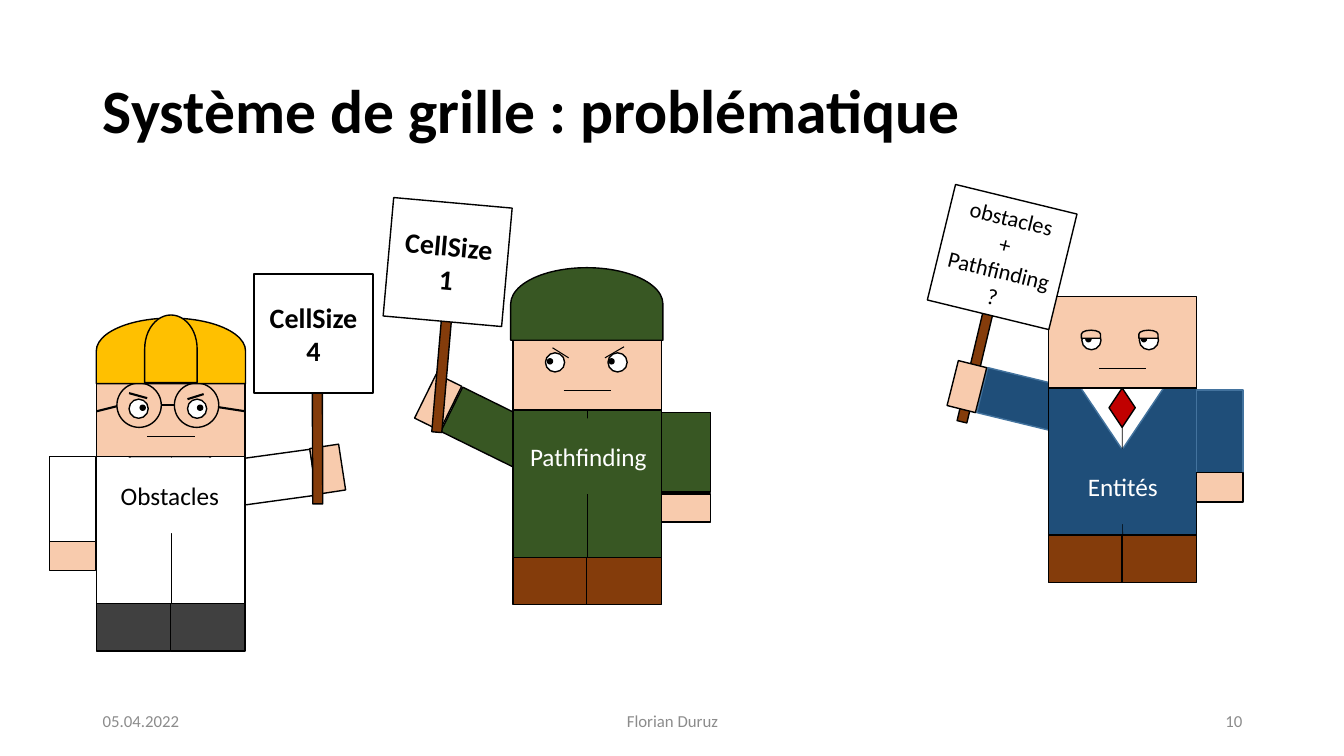
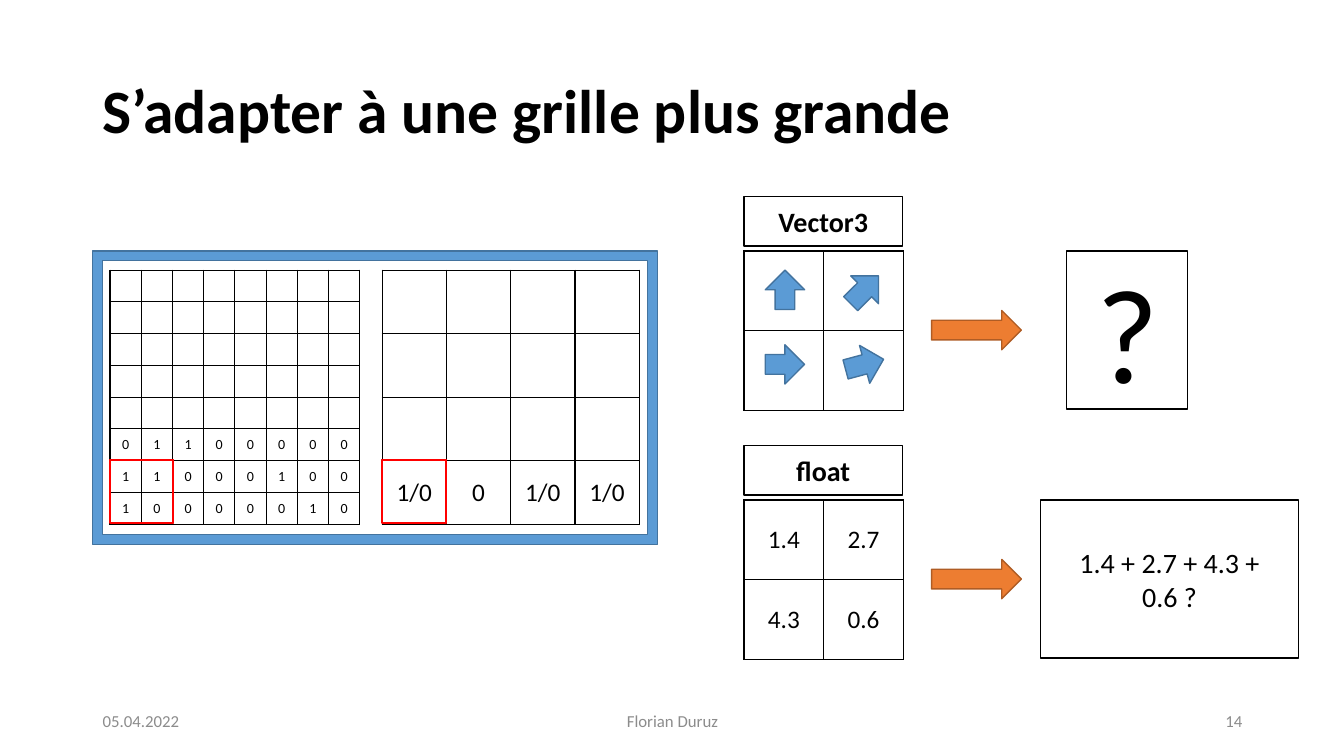
"""Build two slides on the grid problem: three quarrelling figures, then the larger grid."""
from lxml import etree
from pptx import Presentation
from pptx.dml.color import RGBColor
from pptx.enum.shapes import MSO_CONNECTOR, MSO_SHAPE
from pptx.enum.text import MSO_ANCHOR, MSO_AUTO_SIZE, PP_ALIGN
from pptx.oxml.ns import qn
from pptx.util import Inches, Pt

BLACK = RGBColor(0x00, 0x00, 0x00)
WHITE = RGBColor(0xFF, 0xFF, 0xFF)
GREY = RGBColor(0x8C, 0x8C, 0x8C)
CHARCOAL = RGBColor(0x40, 0x40, 0x40)
SKIN = RGBColor(0xF8, 0xCB, 0xAD)
GREEN = RGBColor(0x38, 0x57, 0x23)
BROWN = RGBColor(0x84, 0x3C, 0x0B)
GOLD = RGBColor(0xFF, 0xC0, 0x00)
NAVY = RGBColor(0x1F, 0x4E, 0x79)
CRIMSON = RGBColor(0xC0, 0x00, 0x00)
RED = RGBColor(0xFF, 0x00, 0x00)
BLUE = RGBColor(0x5B, 0x9B, 0xD5)
STEEL = RGBColor(0x43, 0x73, 0x9E)
ORANGE = RGBColor(0xED, 0x7D, 0x31)
RUST = RGBColor(0xAF, 0x5C, 0x24)

RECT, OVAL, DOME = MSO_SHAPE.RECTANGLE, MSO_SHAPE.OVAL, MSO_SHAPE.FLOWCHART_DELAY
TRIANGLE, DIAMOND = MSO_SHAPE.ISOSCELES_TRIANGLE, MSO_SHAPE.DIAMOND
FRAME, ARROW = MSO_SHAPE.FRAME, MSO_SHAPE.UP_ARROW

deck = Presentation()
deck.slide_width, deck.slide_height = Inches(13.33), Inches(7.5)
UNIT = deck.slide_height / 7.5


def write(frame, text, size, color=BLACK, bold=False, align=PP_ALIGN.CENTER):
    frame.word_wrap = True
    frame.vertical_anchor = MSO_ANCHOR.MIDDLE
    for index, line in enumerate(text.split("\n")):
        paragraph = frame.add_paragraph() if index else frame.paragraphs[0]
        paragraph.alignment = align
        run = paragraph.add_run()
        run.text = line
        for name, value in {"name": "Calibri", "size": Pt(size), "bold": bold}.items():
            setattr(run.font, name, value)
        run.font.color.rgb = color


def draw(slide, preset, box, fill=None, edge=BLACK, turn=0):
    shape = slide.shapes.add_shape(preset, *[round(value * UNIT) for value in box])
    shape.shadow.inherit = False
    shape.rotation = turn
    if fill is None:
        shape.fill.background()
    else:
        shape.fill.solid()
        shape.fill.fore_color.rgb = fill
    if edge is None:
        shape.line.fill.background()
    else:
        shape.line.color.rgb = edge
        shape.line.width = Pt(1)
    return shape


slides = []
for heading, number in [("Système de grille : problématique", "10"),
                        ("S’adapter à une grille plus grande", "14")]:
    slide = deck.slides.add_slide(deck.slide_layouts[5])
    title = slide.shapes.title
    bounds = {"left": 0.92, "top": 0.4, "width": 11.5, "height": 1.45}
    for side, value in bounds.items():
        setattr(title, side, round(value * UNIT))
    write(title.text_frame, heading, 44, bold=True, align=PP_ALIGN.LEFT)
    title.text_frame.auto_size = MSO_AUTO_SIZE.NONE
    title.text_frame.paragraphs[0].line_spacing = 0.9
    for left, width, text, align in [(0.92, 3, "05.04.2022", PP_ALIGN.LEFT),
                                     (4.42, 4.5, "Florian Duruz", PP_ALIGN.CENTER),
                                     (9.42, 3, number, PP_ALIGN.RIGHT)]:
        footer = slide.shapes.add_textbox(
            *[round(value * UNIT) for value in (left, 6.95, width, 0.4)])
        write(footer.text_frame, text, 12, GREY, align=align)
    slides.append(slide)
quarrel, adaptation = slides

figures = [
    {"origin": (5.09, 4.07), "coat": GREEN, "coat_edge": BLACK, "trousers": BROWN,
     "label": ("Pathfinding", WHITE, 0.06, 0.08, 1.37),
     "arm": (1.47, 0.02, 0.49, 0.79), "hand": (1.47, 0.83, 0.49, 0.28),
     "eyes": (0.32, 0.94), "pupils": (0.34, 0.95),
     "strokes": [(0.91, -0.52, 1.1, -0.63, 0.75), (0.39, -0.62, 0.55, -0.52, 0.75)],
     "behind": [(RECT, (-0.5, -0.23, 0.49, 0.79), GREEN, BLACK, 116.2),
                (RECT, (-0.99, -0.22, 0.49, 0.28), SKIN, BLACK, 116.2)],
     "collar": [],
     "front": [(DOME, (0.37, -1.81, 0.72, 1.51), GREEN, BLACK, 270),
               (RECT, (-0.76, -0.89, 0.1, 1.11), BROWN, BLACK, 4.9)],
     "sign": ("CellSize\n1", 20, True, (-1.24, -2.06, 1.18, 1.18), 5.1)},
    {"origin": (0.96, 4.53), "coat": WHITE, "coat_edge": BLACK, "trousers": CHARCOAL,
     "label": ("Obstacles", BLACK, 0.08, 0.01, 1.29),
     "arm": (-0.47, 0, 0.46, 0.84), "hand": (-0.47, 0.84, 0.46, 0.29),
     "eyes": (0.32, 0.9), "pupils": (0.43, 1),
     "strokes": [(0.9, -0.57, 1.06, -0.62, 1.5), (0.32, -0.63, 0.5, -0.58, 1.5),
                 (0.65, -0.51, 0.77, -0.51, 1.5), (0, -0.45, 0.2, -0.5, 1.5),
                 (1.21, -0.49, 1.47, -0.45, 1.5)],
     "behind": [(RECT, (1.51, -0.2, 0.46, 0.82), WHITE, BLACK, 262.2)],
     "collar": [(TRIANGLE, (0.32, 0, 0.81, 0.65), WHITE, BLACK, 180)],
     "front": [(OVAL, (0.2, -0.73, 0.44, 0.44), None, BLACK, 0),
               (OVAL, (0.77, -0.73, 0.44, 0.44), None, BLACK, 0),
               (DOME, (0.41, -1.79, 0.65, 1.48), GOLD, BLACK, 270),
               (DOME, (0.4, -1.33, 0.67, 0.52), GOLD, BLACK, 270),
               (RECT, (2.06, -0.02, 0.46, 0.29), SKIN, BLACK, 261.3),
               (RECT, (2.14, -0.64, 0.1, 1.11), BROWN, BLACK, 359.8)],
     "sign": ("CellSize\n4", 20, True, (1.56, -1.81, 1.18, 1.18), 0)},
    {"origin": (10.4, 3.85), "coat": NAVY, "coat_edge": STEEL, "trousers": BROWN,
     "label": ("Entités", WHITE, 0.09, 0.6, 1.29),
     "arm": (1.47, 0.02, 0.46, 0.82), "hand": (1.47, 0.84, 0.46, 0.29),
     "eyes": (0.33, 0.9), "pupils": (0.37, 0.92),
     "strokes": [],
     "behind": [(RECT, (-0.78, -0.76, 0.1, 1.11), BROWN, BLACK, 13.4),
                (RECT, (-0.48, -0.3, 0.46, 0.84), NAVY, STEEL, 103.7)],
     "collar": [(TRIANGLE, (0.32, 0, 0.82, 0.61), WHITE, STEEL, 180),
                (DIAMOND, (0.6, 0, 0.26, 0.39), CRIMSON, BLACK, 0)],
     "front": [(RECT, (-1.04, -0.16, 0.46, 0.29), SKIN, BLACK, 284.1),
               (DOME, (0.38, -0.63, 0.08, 0.19), SKIN, BLACK, 270),
               (DOME, (0.95, -0.63, 0.08, 0.19), SKIN, BLACK, 270)],
     "sign": ("obstacles\n+\nPathfinding\n?", 16, False, (-1.08, -1.89, 1.24, 1.18), 13.7)},
]

for figure in figures:
    x, y = figure["origin"]
    caption, caption_color, caption_x, caption_y, caption_width = figure["label"]
    message, message_size, message_bold, board_box, board_turn = figure["sign"]
    torso_part = (RECT, (0, 0, 1.47, 1.46), figure["coat"], BLACK, 0)
    body = [*figure["behind"], torso_part, *figure["collar"],
            (RECT, (0, -0.91, 1.47, 0.91), SKIN, BLACK, 0),
            (RECT, (0, 1.46, 0.73, 0.47), figure["trousers"], BLACK, 0),
            (RECT, (0.73, 1.46, 0.74, 0.47), figure["trousers"], BLACK, 0),
            (RECT, figure["arm"], figure["coat"], figure["coat_edge"], 0),
            (RECT, figure["hand"], SKIN, BLACK, 0)]
    face = [(OVAL, (eye, -0.57, 0.19, 0.19), WHITE, BLACK, 0) for eye in figure["eyes"]]
    face += [(OVAL, (pupil, -0.51, 0.05, 0.05), BLACK, BLACK, 0) for pupil in figure["pupils"]]
    label_part = (RECT, (caption_x, caption_y, caption_width, 0.75), figure["coat"], None, 0)
    board_part = (RECT, board_box, WHITE, BLACK, board_turn)

    drawn = {}
    for part in body:
        preset, (left, top, width, height), *style = part
        drawn[part] = draw(quarrel, preset, (x + left, y + top, width, height), *style)

    seam = (0.73, 0, 0.73, 1.46, 0.5)
    mouth = (0.5, -0.2, 0.97, -0.2, 0.5)
    for stroke in [seam, mouth, *figure["strokes"]]:
        x1, y1, x2, y2, weight = stroke
        line = quarrel.shapes.add_connector(
            MSO_CONNECTOR.STRAIGHT,
            *[round(value * UNIT) for value in (x + x1, y + y1, x + x2, y + y2)])
        line.line.color.rgb = BLACK
        line.line.width = Pt(weight)
        etree.SubElement(line._element.spPr, qn("a:effectLst"))
        if stroke == seam:
            tie = figure["collar"][-1] if figure["coat"] == NAVY else None
            line.begin_connect(drawn[tie or torso_part], 2 if tie else 0)
            line.end_connect(drawn[torso_part], 2)

    for part in [*face, *figure["front"], label_part, board_part]:
        preset, (left, top, width, height), *style = part
        drawn[part] = draw(quarrel, preset, (x + left, y + top, width, height), *style)
    write(drawn[label_part].text_frame, caption, 18, caption_color)
    write(drawn[board_part].text_frame, message, message_size, bold=message_bold)

fine_rows = [" " * 8] * 5 + ["01100000", "11000100", "10000010"]
coarse_rows = [[""] * 4] * 3 + [["1/0", "0", "1/0", "1/0"]]
for left, top, width, height, size, rows in [
        (3.79, 2.68, 2.55, 2.52, 18, coarse_rows),
        (1.09, 2.68, 2.48, 2.52, 10, fine_rows),
        (7.38, 2.49, 1.58, 1.58, 18, [["", ""], ["", ""]]),
        (7.38, 4.96, 1.58, 1.58, 18, [["1.4", "2.7"], ["4.3", "0.6"]])]:
    grid = adaptation.shapes.add_table(
        len(rows), len(rows[0]),
        *[round(value * UNIT) for value in (left, top, width, height)]).table
    grid.first_row = grid.horz_banding = False
    for column in grid.columns:
        column.width = round(width / len(rows[0]) * UNIT)
    for row_index, row in enumerate(rows):
        grid.rows[row_index].height = round(height / len(rows) * UNIT)
        for column_index, text in enumerate(row):
            cell = grid.cell(row_index, column_index)
            margins = {"margin_left": 0.08, "margin_right": 0.08,
                       "margin_top": 0.04, "margin_bottom": 0.04}
            for name, value in margins.items():
                setattr(cell, name, Inches(value))
            cell.vertical_anchor = MSO_ANCHOR.MIDDLE
            if text.strip():
                write(cell.text_frame, text, size)
            else:
                etree.SubElement(cell.text_frame.paragraphs[0]._p, qn("a:endParaRPr"),
                                 sz=str(size * 100))
            properties = cell._tc.get_or_add_tcPr()
            for side in ("a:lnL", "a:lnR", "a:lnT", "a:lnB"):
                border = etree.SubElement(properties, qn(side), w=str(Pt(1)))
                paint = etree.SubElement(border, qn("a:solidFill"))
                etree.SubElement(paint, qn("a:srgbClr"), val=str(BLACK))
            cell.fill.background()

for box, thickness, fill, edge in [((0.92, 2.49, 5.6, 2.91), 0.033, BLUE, STEEL),
                                   ((1.09, 4.56, 0.63, 0.63), 0.01, RED, RED),
                                   ((3.79, 4.56, 0.64, 0.63), 0.01, RED, RED)]:
    draw(adaptation, FRAME, box, fill, edge).adjustments[0] = thickness

for index, angle in enumerate([0, 45, 90, 75]):
    row, column = divmod(index, 2)
    draw(adaptation, ARROW, (7.59 + 0.79 * column, 2.68 + 0.74 * row, 0.39, 0.39),
         BLUE, STEEL, angle)

for top, kind, result, left, width, size in [
        (1.95, "Vector3", "?", 10.58, 1.2, 96),
        (4.42, "float", "1.4 + 2.7 + 4.3 + 0.6 ?", 10.32, 2.56, 20)]:
    draw(adaptation, ARROW, (9.49, top + 0.88, 0.39, 0.89), ORANGE, RUST, 90)
    header = draw(adaptation, RECT, (7.38, top, 1.57, 0.49), WHITE)
    write(header.text_frame, kind, 20, bold=True)
    outcome = draw(adaptation, RECT, (left, top + 0.54, width, 1.57), WHITE)
    write(outcome.text_frame, result, size)

deck.save("out.pptx")
